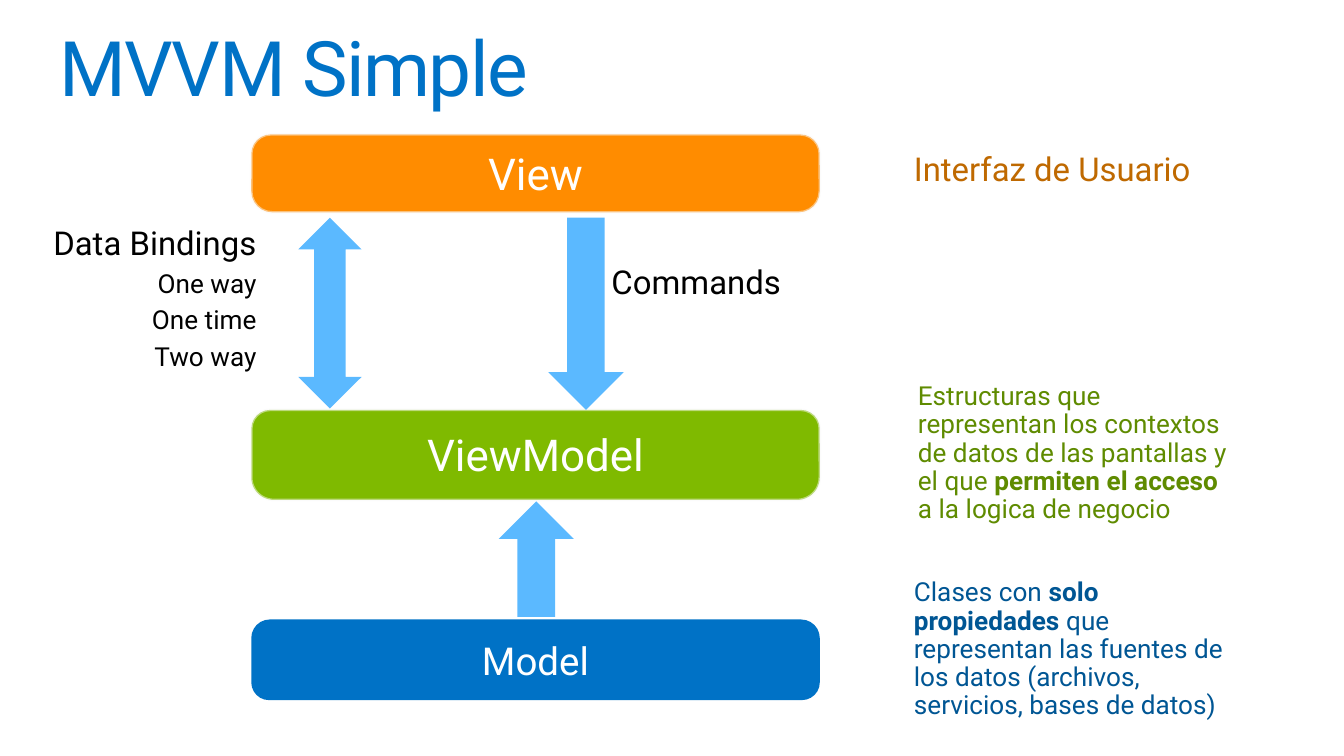
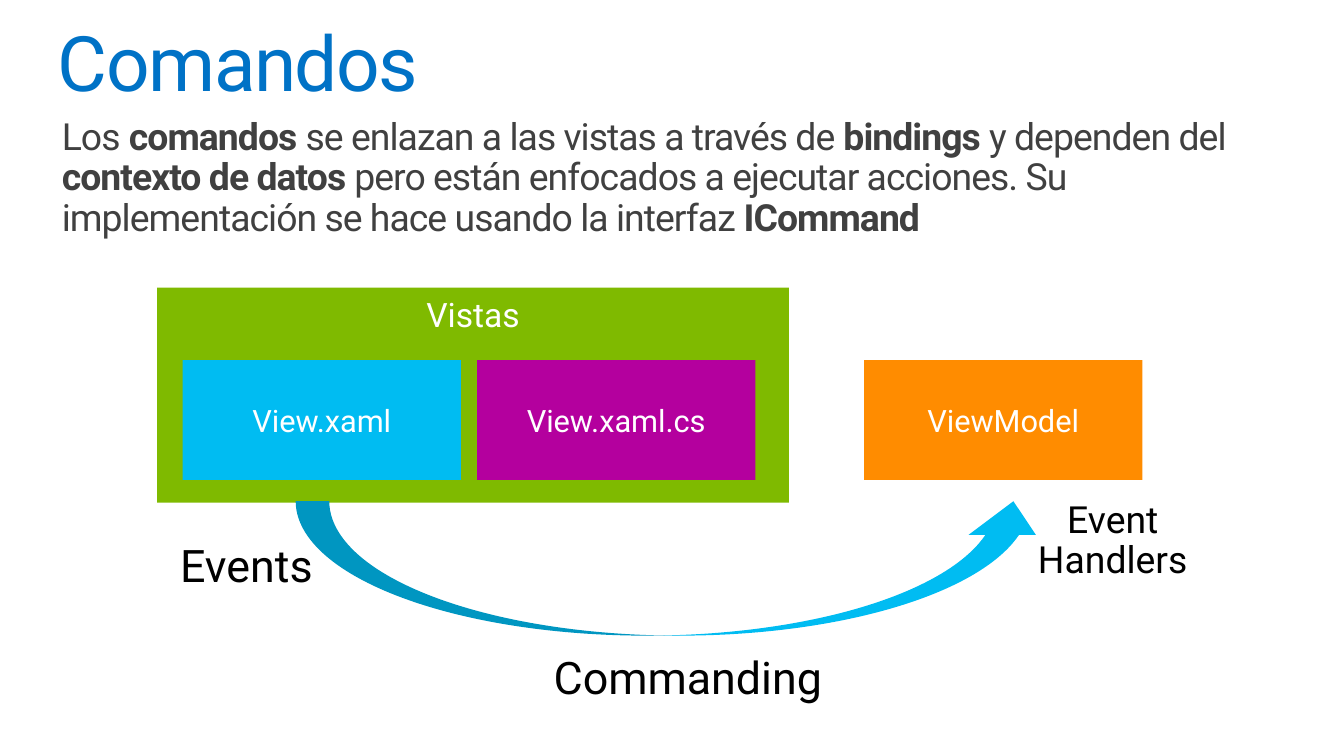
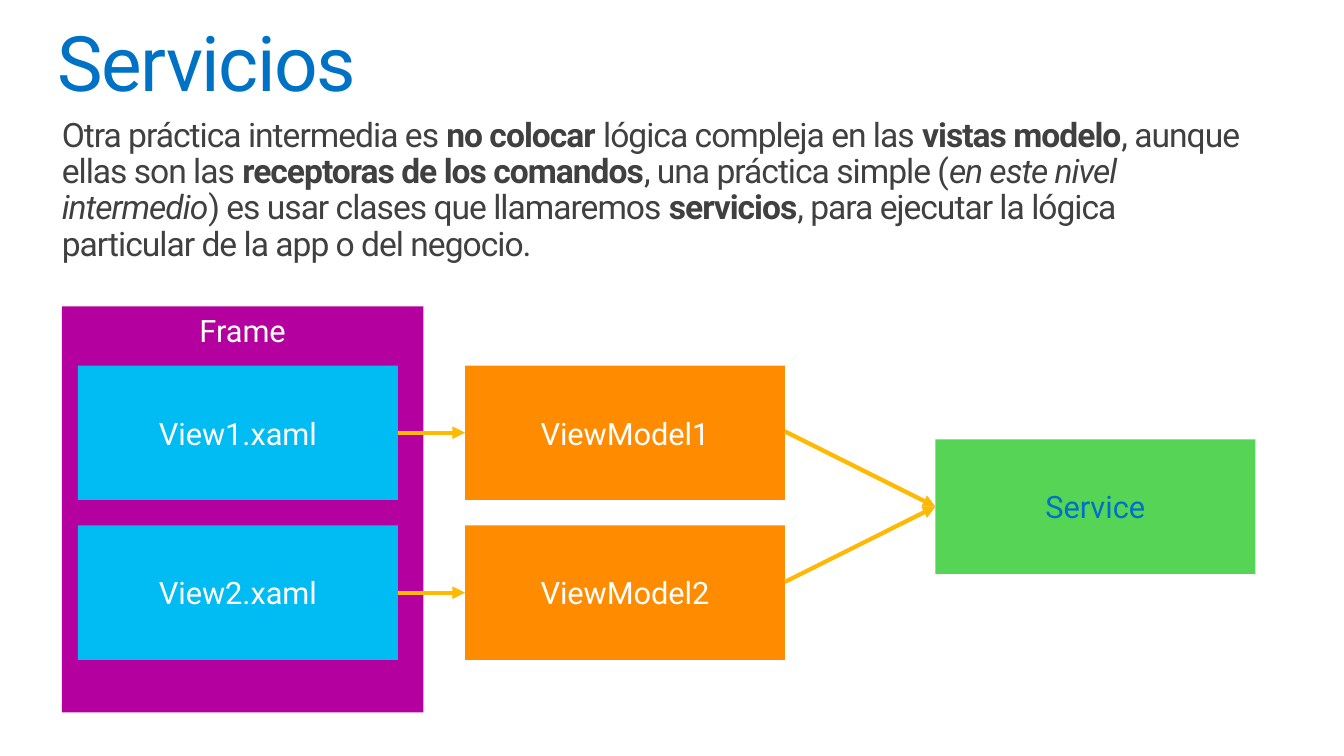
from lxml import etree
from pptx import Presentation, util as u
from pptx.dml.color import RGBColor
from pptx.enum import shapes, text
from pptx.oxml import ns

# Shared look: 16:9 slides
W = 10
H = W * 9 / 16
FONT = "Roboto"
BLUE, ORANGE, GREEN, SKY, PURPLE = "0072C6", "FF8C00", "7FBA00", "00BCF2", "B4009E"
WHITE, BLACK, GREY, ARROW, GOLD = "FFFFFF", "000000", "404040", "5BB9FF", "FFB900"
KIND = shapes.MSO_SHAPE
ALIGN = {"l": text.PP_ALIGN.LEFT, "c": text.PP_ALIGN.CENTER, "r": text.PP_ALIGN.RIGHT}
TOP, MIDDLE = text.MSO_ANCHOR.TOP, text.MSO_ANCHOR.MIDDLE
WIDE, SNUG, BOX = (0.15, 0.12), (0.07, 0.07), (0.07, 0.04)
AREA_INSET, LAYER_INSET = (0.05, 0.05), (0.1, 0.05)

# Slide 1: layers (name, top, height, fill, size, corners, outlined)
LAYER_X, LAYER_W = 1.87, 4.23
LAYERS = [
    ("Model", 4.61, 0.6, BLUE, 20.6, (0.23, 0.22), False),
    ("View", 1, 0.58, ORANGE, 23.5, (0.25, 0.27), True),
    ("ViewModel", 3.05, 0.67, GREEN, 23.5, (0.21, 0.25), True),
]
FLOWS = [  # kind, place, rotation
    (KIND.DOWN_ARROW, (4.08, 1.62, 0.56, 1.43), 0),
    (KIND.UP_DOWN_ARROW, (2.22, 1.62, 0.47, 1.42), 0),
    (KIND.DOWN_ARROW, (3.71, 3.73, 0.56, 0.86), 180),
]
NOTES = [  # place, alignment, colour, [(text, size)]; *bold*
    ((-0.04, 1.57, 2.1, 1.63), "r", BLACK,
     [("Data Bindings", 17.6), ("One way", 14), ("One time", 14), ("Two way", 14)]),
    ((4.4, 1.86, 2.1, 0.68), "l", BLACK, [("Commands", 17.6)]),
    ((6.65, 1.02, 2.66, 0.5), "l", "BF6900", [("Interfaz de Usuario", 17.6)]),
    ((6.65, 4.19, 2.66, 1.3), "l", "005694",
     [("Clases con *solo propiedades *que representan las fuentes de los datos "
       "(archivos, servicios, bases de datos)", 14)]),
    ((6.68, 2.73, 2.66, 1.3), "l", "5F8B00",
     [("Estructuras que representan los contextos de datos de las pantallas y el que "
       "*permiten el acceso *a la logica de negocio", 14)]),
]

# Slide 2
COMMANDS = ("Los *comandos* se enlazan a las vistas a través de *bindings* y dependen del "
            "*contexto de datos *pero están enfocados a ejecutar acciones. Su implementación "
            "se hace usando la interfaz *ICommand*")
VIEWS_AREA = (1.17, 2.14, 4.7, 1.6)
PARTS = [("View.xaml.cs", 3.55, PURPLE), ("ViewModel", 6.43, ORANGE), ("View.xaml", 1.36, SKY)]
PART_Y, PART_W, PART_H = 2.68, 2.07, 0.89
LABELS = [
    ("Events", (1.27, 3.98, 1.4, 0.46), 24, "l"),
    ("Event Handlers", (7.58, 3.66, 1.4, 0.78), 20, "c"),
    ("Commanding", (4.05, 4.81, 2.17, 0.46), 24, "l"),
]

# Slide 3; _italic_
SERVICES = ("Otra práctica intermedia es *no colocar *lógica compleja en las *vistas modelo*, "
            "aunque ellas son las *receptoras de los comandos*, una práctica simple "
            "(_en este nivel intermedio_) es usar clases que llamaremos *servicios*, para "
            "ejecutar la lógica particular de la app o del negocio.")
FRAME = (0.46, 2.28, 2.69, 3.02)
VIEW_X, MODEL_X, SERVICE_X = 0.58, 3.46, 6.96
ROW_Y, ROW_STEP, SERVICE_Y = 2.72, 1.19, 3.27
CELL_W, CELL_H = 2.38, 1
EXITS = [3.21, 4.33]  # heights where the arrows leave the view models


def rgb(value):
    return RGBColor.from_string(value)


def write(sp, paragraphs, color, align="l", inset=(0, 0), anchor=TOP,
          line=None, after=None, tracking=None):
    tf = sp.text_frame
    x, y = map(u.Inches, inset)
    frame = dict(word_wrap=True, vertical_anchor=anchor, margin_left=x, margin_right=x,
                 margin_top=y, margin_bottom=y)
    for name, value in frame.items():
        setattr(tf, name, value)
    for n, (words, size) in enumerate(paragraphs):
        p = tf.add_paragraph() if n else tf.paragraphs[0]
        p.alignment = ALIGN[align]
        if line:
            p.line_spacing = line
        if after:
            p.space_after = u.Pt(after)
        for i, part in enumerate(words.split("*")):
            for j, piece in enumerate(part.split("_")):
                if not piece:
                    continue
                r = p.add_run()
                r.text = piece
                look = dict(name=FONT, size=u.Pt(size), bold=i % 2 == 1, italic=j % 2 == 1)
                for name, value in look.items():
                    setattr(r.font, name, value)
                r.font.color.rgb = rgb(color)
                if tracking:
                    r.font._element.set("spc", str(round(tracking * 100)))


def label(s, place, paragraphs, color, **style):
    sp = s.shapes.add_textbox(*map(u.Inches, place))
    write(sp, paragraphs, color, line=0.9, **style)


def block(s, kind, place, fill, corners=()):
    sp = s.shapes.add_shape(kind, *map(u.Inches, place))
    sp.shadow.inherit = False
    sp.fill.solid()
    sp.fill.fore_color.rgb = rgb(fill)
    sp.line.fill.background()
    for i, value in enumerate(corners):
        sp.adjustments[i] = value
    return sp


def box(s, words, place, fill, color=WHITE, anchor=MIDDLE):
    sp = block(s, KIND.ROUNDED_RECTANGLE, place, fill, [0])
    write(sp, [(words, 16.5)], color, "c", BOX, anchor)


def outline(sp):
    sp.line.color.rgb = rgb("F9F9F9")
    sp.line.width = u.Pt(1.35)
    tone = sp.line._ln.find(".//" + ns.qn("a:srgbClr"))
    etree.SubElement(tone, ns.qn("a:alpha"), val="50000")


def arrow(s, x1, y1, x2, y2):
    c = s.shapes.add_connector(shapes.MSO_CONNECTOR.STRAIGHT, *map(u.Inches, (x1, y1, x2, y2)))
    c.line.color.rgb = rgb(GOLD)
    c.line.width = u.Pt(2.25)
    etree.SubElement(c.line._ln, ns.qn("a:tailEnd"), type="triangle")
    etree.SubElement(c._element.spPr, ns.qn("a:effectLst"))


def new_slide(prs, title, x=0.43, y=0.19):
    s = prs.slides.add_slide(prs.slide_layouts[6])
    label(s, (x, y, 9.15, 0.62), [(title, 41)], BLUE, tracking=-0.8)
    return s


def intro(s, words, size):
    label(s, (0.46, 0.88, 8.82, 0.59), [(words, size)], GREY, tracking=-0.53)


def mvvm_slide(prs):
    s = new_slide(prs, "MVVM Simple", 0.44, 0.23)
    for name, y, h, fill, size, corners, outlined in LAYERS:
        sp = block(s, KIND.ROUND_2_SAME_RECTANGLE, (LAYER_X, y, LAYER_W, h), fill, corners)
        write(sp, [(name, size)], WHITE, "c", LAYER_INSET, MIDDLE)
        if outlined:
            outline(sp)
    for kind, place, turn in FLOWS:
        block(s, kind, place, ARROW).rotation = turn
    for place, align, color, paragraphs in NOTES:
        label(s, place, paragraphs, color, align=align, inset=WIDE, after=4.4)


def commands_slide(prs):
    s = new_slide(prs, "Comandos")
    area = block(s, KIND.RECTANGLE, VIEWS_AREA, GREEN)
    write(area, [("Vistas", 18)], WHITE, "c", AREA_INSET)
    for name, x, fill in PARTS:
        box(s, name, (x, PART_Y, PART_W, PART_H), fill)
    block(s, KIND.CURVED_UP_ARROW, (2.2, 3.73, 5.59, 1), SKY)
    for words, place, size, align in LABELS:
        label(s, place, [(words, size)], BLACK, align=align, inset=SNUG)
    intro(s, COMMANDS, 20)


def services_slide(prs):
    s = new_slide(prs, "Servicios")
    box(s, "Frame", FRAME, PURPLE, anchor=TOP)
    box(s, "Service", (SERVICE_X, SERVICE_Y, CELL_W, CELL_H), "55D455", BLUE)
    for i, exit_y in enumerate(EXITS):
        y = ROW_Y + i * ROW_STEP
        middle = y + CELL_H / 2
        box(s, f"View{i + 1}.xaml", (VIEW_X, y, CELL_W, CELL_H), SKY)
        box(s, f"ViewModel{i + 1}", (MODEL_X, y, CELL_W, CELL_H), ORANGE)
        arrow(s, VIEW_X + CELL_W, middle, MODEL_X, middle)
        arrow(s, MODEL_X + CELL_W, exit_y, SERVICE_X, SERVICE_Y + CELL_H / 2)
    intro(s, SERVICES, 18)


def main():
    prs = Presentation()
    prs.slide_width, prs.slide_height = u.Inches(W), u.Inches(H)
    for build in (mvvm_slide, commands_slide, services_slide):
        build(prs)
    prs.save("out.pptx")


if __name__ == "__main__":
    main()
